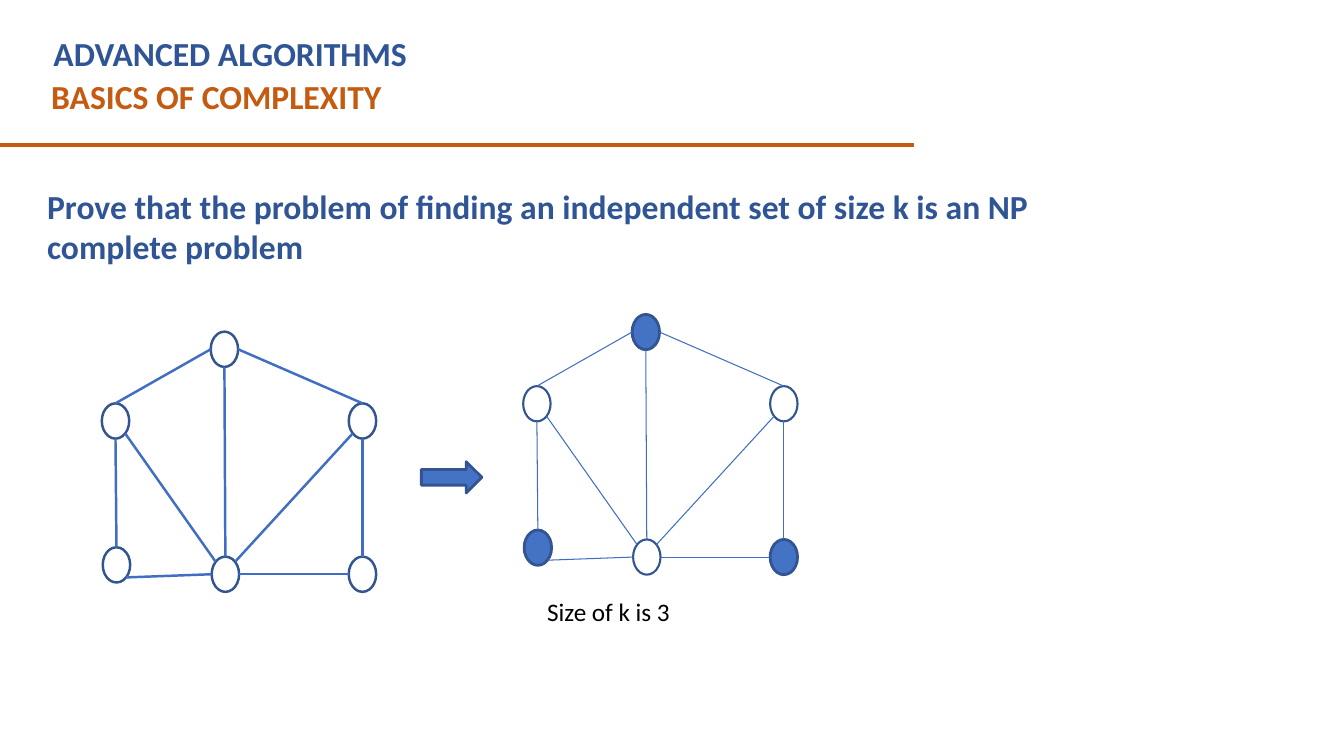
from lxml import etree
from pptx import Presentation
from pptx.dml.color import RGBColor
from pptx.enum import shapes, text
from pptx.oxml.ns import qn
from pptx.util import Pt

COLORS = {"orange": "C55A11", "navy": "2F5597", "black": "000000",
          "fill": "4472C4", "outline": "325491", "edge": "3F6EC2"}
NODE_WIDTH, NODE_HEIGHT = 19.6, 25.2

# Top left corner of each node, relative to the graph's box
NODES = {"top": (77.8, 0), "left": (0, 51.2), "right": (176.4, 51.2),
         "low left": (0.7, 154), "hub": (78.5, 160.7), "low right": (176.4, 160.7)}

# Points on a node's outline, in half widths and half heights from its centre
SITES = {"n": (0, -1), "s": (0, 1), "w": (-1, 0), "e": (1, 0), "nw": (-0.71, -0.71),
         "ne": (0.71, -0.71), "sw": (-0.71, 0.71), "se": (0.71, 0.71)}

EDGES = [("top", "s", "hub", "n"), ("hub", "e", "low right", "w"),
         ("low right", "n", "right", "s"), ("right", "n", "top", "e"),
         ("left", "n", "top", "w"), ("left", "s", "low left", "n"),
         ("low left", "se", "hub", "w"), ("hub", "ne", "right", "sw"),
         ("hub", "nw", "left", "se")]


def color(name):
    return RGBColor.from_string(COLORS[name])


def write(box, wording, size, color_name, bold=True):
    frame = box.text_frame
    frame.word_wrap = True
    frame.auto_size = text.MSO_AUTO_SIZE.NONE
    frame.vertical_anchor = text.MSO_ANCHOR.TOP
    para = frame.paragraphs[0]
    para.text = wording
    para.alignment = text.PP_ALIGN.LEFT
    para.font.name = "Calibri"
    para.font.size = Pt(size)
    para.font.bold = bold
    para.font.color.rgb = color(color_name)


def add_text(page, left, top, width, height, *style):
    box = page.shapes.add_textbox(Pt(left), Pt(top), Pt(width), Pt(height))
    write(box, *style)


def add_line(page, start, end, color_name, weight):
    line = page.shapes.add_connector(shapes.MSO_CONNECTOR.STRAIGHT,
                                     *(Pt(value) for value in (*start, *end)))
    line.line.color.rgb = color(color_name)
    line.line.width = Pt(weight)
    etree.SubElement(line._element.spPr, qn("a:effectLst"))


def add_outlined(page, kind, left, top, width, height, weight, filled):
    shape = page.shapes.add_shape(kind, Pt(left), Pt(top), Pt(width), Pt(height))
    shape.shadow.inherit = False
    if filled:
        shape.fill.solid()
        shape.fill.fore_color.rgb = color("fill")
    else:
        shape.fill.background()
    shape.line.color.rgb = color("outline")
    shape.line.width = Pt(weight)


def add_header(page, left, top):
    title = page.shapes.title
    title.left, title.top, title.width, title.height = Pt(left + 1.5), Pt(top), Pt(590), Pt(36)
    write(title, "ADVANCED ALGORITHMS", 24, "navy")
    add_text(page, left, top + 31, 630, 36, "BASICS OF COMPLEXITY", 24, "orange")
    add_line(page, (0, top + 83.7), (653, top + 83.7), "orange", 3)


def add_graph(page, left, top, node_weight, edge_weight, chosen=()):
    def site(node, side):
        x, y = NODES[node]
        across, down = SITES[side]
        return (left + x + NODE_WIDTH / 2 * (1 + across),
                top + y + NODE_HEIGHT / 2 * (1 + down))

    for name, (x, y) in NODES.items():
        filled = name in chosen
        add_outlined(page, shapes.MSO_SHAPE.OVAL, left + x, top + y, NODE_WIDTH,
                     NODE_HEIGHT, 2 if filled else node_weight, filled)
    for first, first_side, second, second_side in EDGES:
        add_line(page, site(first, first_side), site(second, second_side),
                 "edge", edge_weight)


def add_example(page, left, top):
    # Plain graph, arrow, then the graph with its independent set
    add_graph(page, left, top + 12.3, 1.75, 1.75)
    add_outlined(page, shapes.MSO_SHAPE.RIGHT_ARROW, left + 228.3, top + 105.2,
                 43.2, 22.3, 2, True)
    add_graph(page, left + 301, top, 1.5, 0.75, ("top", "low left", "low right"))
    add_text(page, left + 311, top + 198, 155, 29, "Size of k is 3", 18, "black", False)


def main():
    deck = Presentation()
    deck.slide_width, deck.slide_height = Pt(960), Pt(540)
    page = deck.slides.add_slide(deck.slide_layouts[5])
    add_header(page, 29.5, 20)
    # Question
    add_text(page, 26.6, 129, 734.4, 65, "Prove that the problem of finding an "
             "independent set of size k is an NP complete problem", 24, "navy")
    add_example(page, 72.7, 224.6)
    deck.save("out.pptx")


if __name__ == "__main__":
    main()
